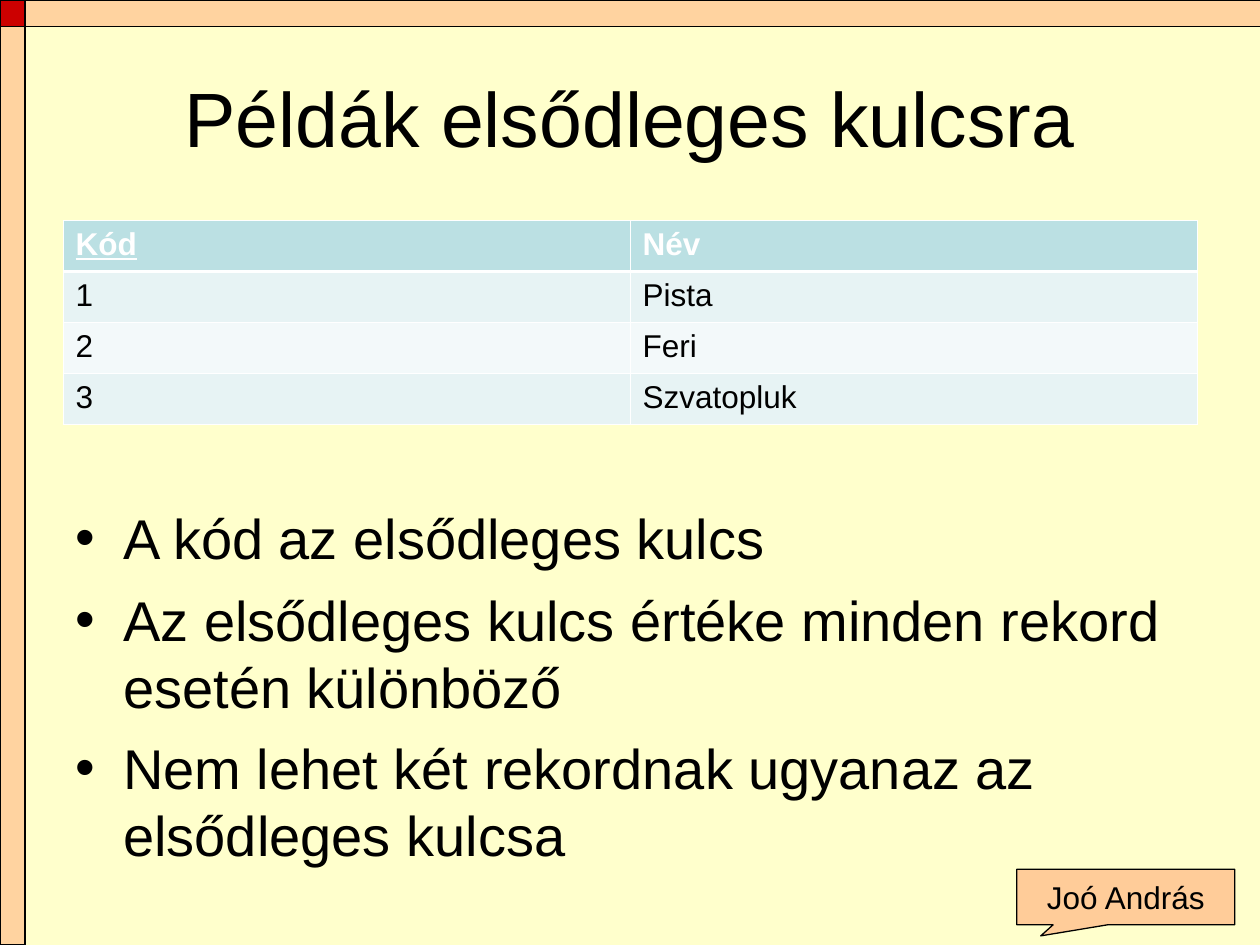
import pptx
import pptx.dml.color
import pptx.enum.shapes
import pptx.enum.text
import pptx.oxml
import pptx.oxml.ns
import pptx.util

RGBColor = pptx.dml.color.RGBColor
BLACK = RGBColor(0x00, 0x00, 0x00)
WHITE = RGBColor(0xFF, 0xFF, 0xFF)
CREAM = RGBColor(0xFF, 0xFF, 0xCC)
PEACH = RGBColor(0xFF, 0xCC, 0x99)
RED = RGBColor(0xCC, 0x00, 0x00)
TEAL = RGBColor(0xBB, 0xE0, 0xE3)
BAND_DARK = RGBColor(0xE7, 0xF3, 0xF4)
BAND_LIGHT = RGBColor(0xF3, 0xF9, 0xFA)

SHAPE = pptx.enum.shapes.MSO_SHAPE
CENTER = pptx.enum.text.PP_ALIGN.CENTER
MIDDLE = pptx.enum.text.MSO_ANCHOR.MIDDLE
TOP = pptx.enum.text.MSO_ANCHOR.TOP

# The slide is a grid of half-inch units: 20 columns by 15 rows
UNIT, COLUMNS, ROWS = 0.5, 20, 15
BAR_WIDTH, BAR_HEIGHT = 0.4, 0.42


def grid(*units):
    return [pptx.util.Inches(unit * UNIT) for unit in units]


def add_xml(parent, tag, content="", **attributes):
    values = "".join(f' {name}="{value}"' for name, value in attributes.items())
    namespace = pptx.oxml.ns.nsdecls("a")
    parent.append(pptx.oxml.parse_xml(
        f"<a:{tag} {namespace}{values}>{content}</a:{tag}>"))


class LessonSlide:
    font_name = "Arial"
    outline = 0.75

    def __init__(self, deck):
        self.slide = deck.slides.add_slide(deck.slide_layouts[6])
        background = self.slide.background.fill
        background.solid()
        background.fore_color.rgb = CREAM

    def set_text(self, paragraph, text, size, **formats):
        paragraph.text = text
        values = {"name": self.font_name, "size": pptx.util.Pt(size), **formats}
        color = values.pop("color", BLACK)
        for name, value in values.items():
            setattr(paragraph.font, name, value)
        paragraph.font.color.rgb = color

    def panel(self, kind, place, color, opacity=100):
        panel = self.slide.shapes.add_shape(kind, *grid(*place))
        panel.shadow.inherit = False
        panel.fill.solid()
        panel.fill.fore_color.rgb = color
        if opacity < 100:
            fill_color = panel._element.spPr.find(
                ".//" + pptx.oxml.ns.qn("a:srgbClr"))
            add_xml(fill_color, "alpha", val=opacity * 1000)
        panel.line.color.rgb = BLACK
        panel.line.width = pptx.util.Pt(self.outline)
        return panel

    def callout(self, place, text, pointer):
        callout = self.panel(SHAPE.RECTANGULAR_CALLOUT, place, PEACH)
        for index, value in enumerate(pointer):
            callout.adjustments[index] = value
        author = callout.text_frame.paragraphs[0]
        author.alignment = CENTER
        self.set_text(author, text, 18)

    def text_area(self, place, anchor):
        frame = self.slide.shapes.add_textbox(*grid(*place)).text_frame
        frame.word_wrap = True
        frame.vertical_anchor = anchor
        return frame

    def title(self, place, text):
        heading = self.text_area(place, MIDDLE).paragraphs[0]
        heading.alignment = CENTER
        self.set_text(heading, text, 44)

    def bullets(self, place, points):
        frame = self.text_area(place, TOP)
        indent = pptx.util.Inches(0.38)
        for index, point in enumerate(points):
            paragraph = frame.add_paragraph() if index else frame.paragraphs[0]
            properties = paragraph._p.get_or_add_pPr()
            properties.set("marL", str(indent))
            properties.set("indent", str(-indent))
            add_xml(properties, "buFont", typeface=self.font_name)
            add_xml(properties, "buChar", char="•")
            if index:
                paragraph.space_before = pptx.util.Pt(8)
            self.set_text(paragraph, point, 32)

    def borders(self, cell, widths):
        properties = cell._tc.get_or_add_tcPr()
        for side, width in widths.items():
            add_xml(properties, side,
                    f'<a:solidFill><a:srgbClr val="{WHITE}"/></a:solidFill>',
                    w=pptx.util.Pt(width))

    def table(self, place, records, key_column=0):
        table = self.slide.shapes.add_table(
            len(records), len(records[0]), *grid(*place)).table
        for row, record in enumerate(records):
            header = row == 0
            band = TEAL if header else BAND_DARK if row % 2 else BAND_LIGHT
            for column, value in enumerate(record):
                cell = table.cell(row, column)
                self.borders(cell, {"lnL": 0.45, "lnR": 0.45,
                                    "lnT": 1.47 if row == 1 else 0.45,
                                    "lnB": 1.47 if header else 0.45})
                cell.fill.solid()
                cell.fill.fore_color.rgb = band
                self.set_text(cell.text_frame.paragraphs[0], value, 18,
                              bold=header, color=WHITE if header else BLACK,
                              underline=header and column == key_column)


def main():
    deck = pptx.Presentation()
    deck.slide_width, deck.slide_height = grid(COLUMNS, ROWS)
    lesson = LessonSlide(deck)

    # Frame bars, author callout and corner
    lesson.panel(SHAPE.RECTANGLE,
                 (0, BAR_HEIGHT, BAR_WIDTH, ROWS - BAR_HEIGHT), PEACH, 85)
    lesson.panel(SHAPE.RECTANGLE,
                 (BAR_WIDTH, 0, COLUMNS - BAR_WIDTH + 0.08, BAR_HEIGHT), PEACH, 85)
    lesson.callout((16.14, 13.8, 3.46, 0.88), "Joó András", (-0.39, 0.7))
    lesson.panel(SHAPE.RECTANGLE, (0, 0, BAR_WIDTH, BAR_HEIGHT), RED)

    # Title
    lesson.title((1, 0.6, 18, 2.5), "Példák elsődleges kulcsra")

    # Example records with the key column underlined
    lesson.table((1, 3.5, 18, 3.24), [
        ("Kód", "Név"),
        ("1", "Pista"),
        ("2", "Feri"),
        ("3", "Szvatopluk"),
    ])

    # Rules of the primary key
    lesson.bullets((1, 7.9, 18, 6.22), [
        "A kód az elsődleges kulcs",
        "Az elsődleges kulcs értéke minden rekord esetén különböző",
        "Nem lehet két rekordnak ugyanaz az elsődleges kulcsa",
    ])

    deck.save("out.pptx")


if __name__ == "__main__":
    main()
